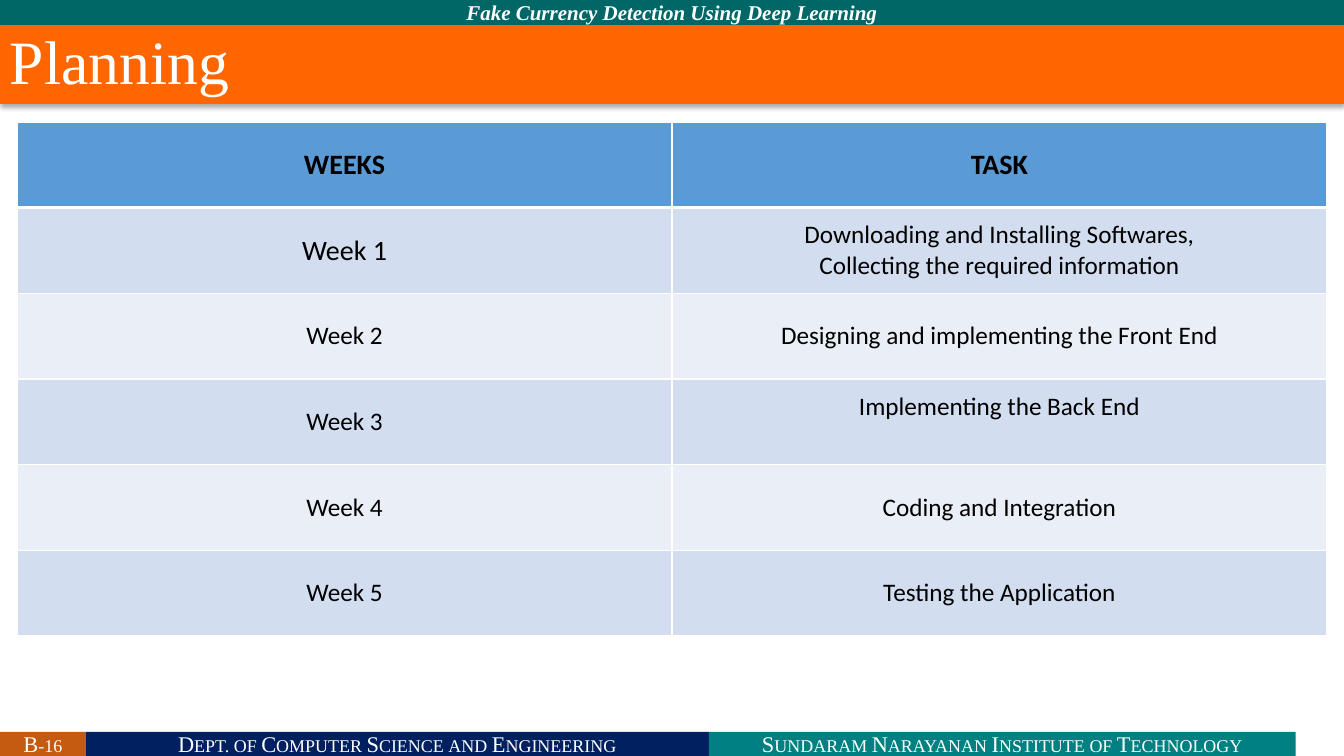
from lxml import etree
from pptx import Presentation
from pptx.dml.color import RGBColor
from pptx.enum.shapes import MSO_SHAPE
from pptx.enum.text import MSO_ANCHOR, PP_ALIGN
from pptx.oxml import parse_xml
from pptx.oxml.ns import nsdecls, qn
from pptx.util import Inches, Pt

RECTANGLE = MSO_SHAPE.RECTANGLE
MIDDLE = MSO_ANCHOR.MIDDLE
LEFT, CENTER = PP_ALIGN.LEFT, PP_ALIGN.CENTER

WHITE = RGBColor(0xFF, 0xFF, 0xFF)
BLACK = RGBColor(0x00, 0x00, 0x00)
NAVY = RGBColor(0x00, 0x20, 0x60)
TEAL = RGBColor(0x00, 0x80, 0x80)
DARK_TEAL = RGBColor(0x00, 0x66, 0x66)
BROWN = RGBColor(0xC5, 0x5A, 0x11)
ORANGE = RGBColor(0xFF, 0x66, 0x00)
HEADER_BLUE = RGBColor(0x5B, 0x9B, 0xD5)
BANDS = RGBColor(0xD2, 0xDE, 0xEF), RGBColor(0xEA, 0xEF, 0xF7)

SLIDE_WIDTH, SLIDE_HEIGHT = 13.33, 7.5
FOOTER_TOP, BAR_HEIGHT = 7.26, 0.24
ROW_HEIGHT = 0.85
HEADER_RULE, CELL_RULE = 3, 1

SCHEDULE = [
    ("WEEKS", "TASK"),
    ("Week 1", "Downloading and Installing Softwares,\nCollecting the required information"),
    ("Week 2", "Designing and implementing the Front End"),
    ("Week 3", "Implementing the Back End"),
    ("Week 4", "Coding and Integration"),
    ("Week 5", "Testing the Application"),
]
FOOTER = [
    ("B-16", 0.85, BROWN),
    ("Dept. of Computer Science and Engineering", 6.18, NAVY),
    ("Sundaram Narayanan Institute of Technology", 5.82, TEAL),
]


class PlanningSlide:
    bar_font = {"name": "Times New Roman", "size": Pt(16)}
    table_font = {"name": "Calibri", "size": Pt(18), "bold": False}

    def __init__(self, presentation):
        self.slide = presentation.slides.add_slide(presentation.slide_layouts[6])

    def set_text(self, frame, text, color, font_values, alignment=CENTER):
        frame.text = text
        for paragraph in frame.paragraphs:
            paragraph.alignment = alignment
            font = paragraph.runs[0].font
            font.color.rgb = color
            for name, value in font_values.items():
                setattr(font, name, value)

    def bar(self, text, left, top, width, height, color, alignment=CENTER, inset=0, **font_values):
        shape = self.slide.shapes.add_shape(
            RECTANGLE, Inches(left), Inches(top), Inches(width), Inches(height))
        shape.shadow.inherit = False
        shape.fill.solid()
        shape.fill.fore_color.rgb = color
        shape.line.fill.background()
        frame = shape.text_frame
        frame_values = {"word_wrap": True, "vertical_anchor": MIDDLE,
                        "margin_left": Inches(inset), "margin_right": Inches(inset),
                        "margin_top": 0, "margin_bottom": 0}
        for name, value in frame_values.items():
            setattr(frame, name, value)
        self.set_text(frame, text, WHITE, {**self.bar_font, **font_values}, alignment)
        return shape

    def small_caps(self, shape):
        for properties in shape._element.iter(qn("a:rPr")):
            properties.set("cap", "small")

    def drop_shadow(self, shape):
        effects = shape._element.spPr.find(qn("a:effectLst"))
        effects.append(parse_xml(
            f'<a:outerShdw {nsdecls("a")} blurRad="{Pt(3.5)}" dist="{Pt(2.2)}" dir="5400000" '
            'algn="t" rotWithShape="0"><a:srgbClr val="000000"><a:alpha val="32000"/>'
            '</a:srgbClr></a:outerShdw>'))

    def borders(self, cell, top, bottom):
        properties = cell._tc.get_or_add_tcPr()
        widths = {"lnL": CELL_RULE, "lnR": CELL_RULE, "lnT": top, "lnB": bottom}
        for position, (side, width) in enumerate(widths.items()):
            line = etree.Element(qn(f"a:{side}"), w=str(Pt(width)))
            fill = etree.SubElement(line, qn("a:solidFill"))
            etree.SubElement(fill, qn("a:srgbClr"), val=str(WHITE))
            properties.insert(position, line)

    def table(self, rows, left, top, width):
        table = self.slide.shapes.add_table(
            len(rows), len(rows[0]), Inches(left), Inches(top),
            Inches(width), Inches(ROW_HEIGHT * len(rows))).table
        for row_index, row in enumerate(rows):
            table.rows[row_index].height = Inches(ROW_HEIGHT)
            for column_index, text in enumerate(row):
                cell = table.cell(row_index, column_index)
                is_header = row_index == 0
                cell.vertical_anchor = MIDDLE
                cell.fill.solid()
                cell.fill.fore_color.rgb = HEADER_BLUE if is_header else BANDS[(row_index - 1) % 2]
                font_values = {**self.table_font, "bold": is_header}
                if is_header or text == "Week 1":
                    font_values["size"] = Pt(20)
                self.set_text(cell.text_frame, text, BLACK, font_values)
                self.borders(cell, HEADER_RULE if row_index == 1 else CELL_RULE,
                             HEADER_RULE if is_header else CELL_RULE)
        return table


def main():
    presentation = Presentation()
    presentation.slide_width = Inches(SLIDE_WIDTH)
    presentation.slide_height = Inches(SLIDE_HEIGHT)
    planning = PlanningSlide(presentation)

    left = 0
    for text, width, color in FOOTER:
        planning.small_caps(planning.bar(text, left, FOOTER_TOP, width, BAR_HEIGHT, color))
        left += width

    planning.bar("Fake Currency Detection Using Deep Learning", 0, 0, SLIDE_WIDTH, 0.25,
                 DARK_TEAL, size=Pt(15), bold=True, italic=True)
    title = planning.bar("Planning", 0, 0.25, SLIDE_WIDTH, 0.78, ORANGE,
                         alignment=LEFT, inset=0.1, size=Pt(44))
    title.text_frame.paragraphs[0].line_spacing = 0.9
    planning.drop_shadow(title)

    schedule = planning.table(SCHEDULE, 0.17, 1.21, 12.99)
    # The back end task sits half a line above the middle of its row
    schedule.cell(3, 1).margin_bottom = Inches(0.35)

    presentation.save("out.pptx")


if __name__ == "__main__":
    main()
